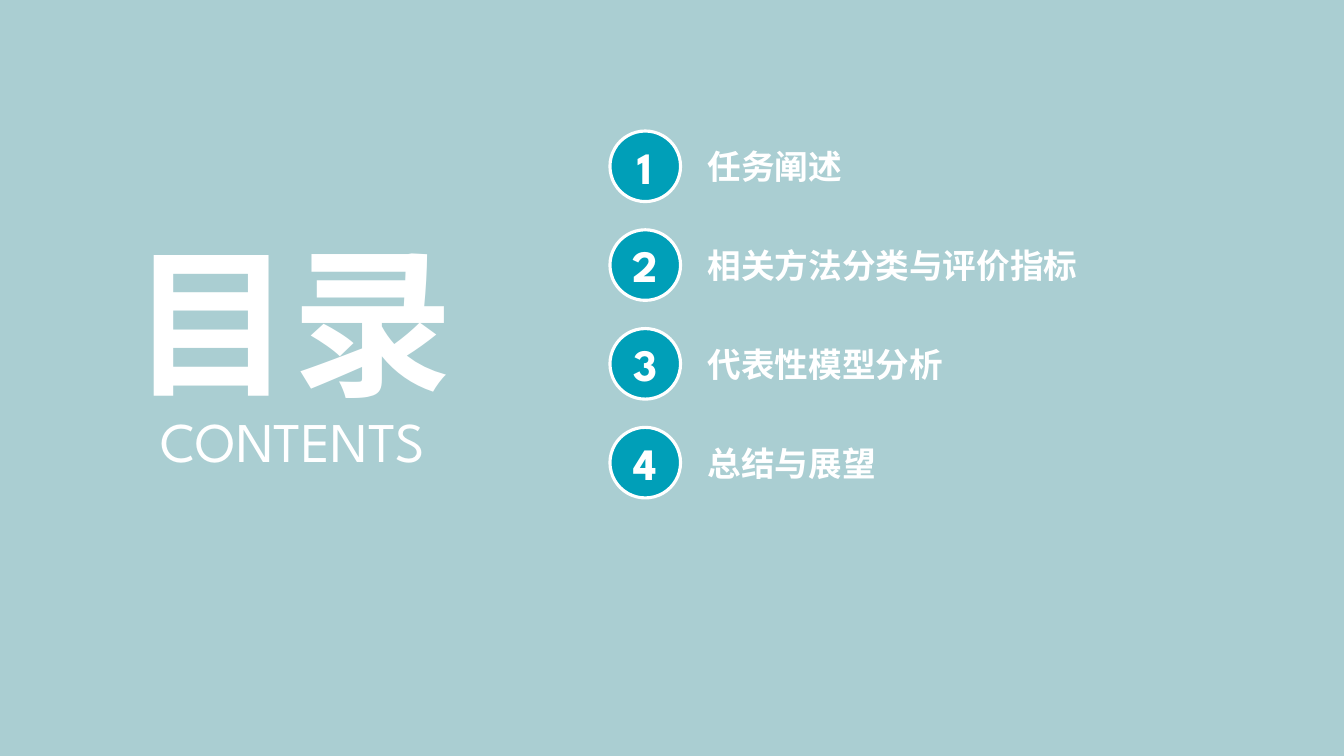
from pptx import Presentation
from pptx.dml.color import RGBColor
from pptx.enum.shapes import MSO_SHAPE
from pptx.enum.text import MSO_ANCHOR, MSO_AUTO_SIZE, PP_ALIGN
from pptx.oxml.ns import qn
from pptx.util import Inches, Pt
from lxml.etree import SubElement

TITLE = "目录"
SUBTITLE = "CONTENTS"
CHAPTERS = ["任务阐述", "相关方法分类与评价指标", "代表性模型分析", "总结与展望"]

THEME = {
    "background": RGBColor(0xAA, 0xCE, 0xD2),
    "accent": RGBColor(0x00, 0x9F, 0xB8),
    "white": RGBColor(0xFF, 0xFF, 0xFF),
    "latin": "League Spartan",
    "chinese": "Noto Sans CJK SC",
    "title": 115,
    "subtitle": 40,
    "number": 32,
    "chapter": 24,
}

FIRST_TOP, ROW_PITCH = 1.3, 0.98
CIRCLE_LEFT, CIRCLE_SIZE = 6.05, 0.7
LABEL_LEFT, LABEL_HEIGHT = 6.92, 0.5
CHARACTER_WIDTH, SIDE_INSETS = 0.336, 0.2


def write_text(frame, text, size, font=THEME["latin"], bold=True,
               align=PP_ALIGN.CENTER):
    para = frame.paragraphs[0]
    para.alignment = align
    span = para.add_run()
    span.text = text
    span.font.size = Pt(size)
    span.font.bold = bold
    span.font.color.rgb = THEME["white"]
    span.font.name = font
    east_asian = SubElement(span.font._element, qn("a:ea"))
    east_asian.set("typeface", THEME["chinese"])


def add_text(page, text, left, top, width, height, **text_format):
    box = page.shapes.add_textbox(
        Inches(left), Inches(top), Inches(width), Inches(height))
    box.text_frame.word_wrap = False
    box.text_frame.auto_size = MSO_AUTO_SIZE.SHAPE_TO_FIT_TEXT
    write_text(box.text_frame, text, **text_format)


def add_number(page, number, top):
    circle = page.shapes.add_shape(
        MSO_SHAPE.OVAL, Inches(CIRCLE_LEFT), Inches(top),
        Inches(CIRCLE_SIZE), Inches(CIRCLE_SIZE))
    circle.shadow.inherit = False
    circle.fill.solid()
    circle.fill.fore_color.rgb = THEME["accent"]
    circle.line.color.rgb = THEME["white"]
    circle.line.width = Pt(2.25)
    frame = circle.text_frame
    frame.margin_left = frame.margin_right = 0
    frame.vertical_anchor = MSO_ANCHOR.MIDDLE
    write_text(frame, str(number), size=THEME["number"])


def main():
    deck = Presentation()
    deck.slide_width, deck.slide_height = Inches(13.33), Inches(7.5)
    page = deck.slides.add_slide(deck.slide_layouts[6])
    page.background.fill.solid()
    page.background.fill.fore_color.rgb = THEME["background"]

    add_text(page, SUBTITLE, 1.39, 3.98, 3.03, 0.77,
             size=THEME["subtitle"], bold=False)
    for index, chapter in enumerate(CHAPTERS):
        top = FIRST_TOP + index * ROW_PITCH
        label_top = top + (CIRCLE_SIZE - LABEL_HEIGHT) / 2
        label_width = len(chapter) * CHARACTER_WIDTH + SIDE_INSETS
        add_text(page, chapter, LABEL_LEFT, label_top, label_width,
                 LABEL_HEIGHT, size=THEME["chapter"], align=PP_ALIGN.LEFT)
        add_number(page, index + 1, top)
    add_text(page, TITLE, 1.19, 2.16, 3.43, 2.04,
             size=THEME["title"], font=THEME["chinese"])

    deck.save("out.pptx")


if __name__ == "__main__":
    main()
